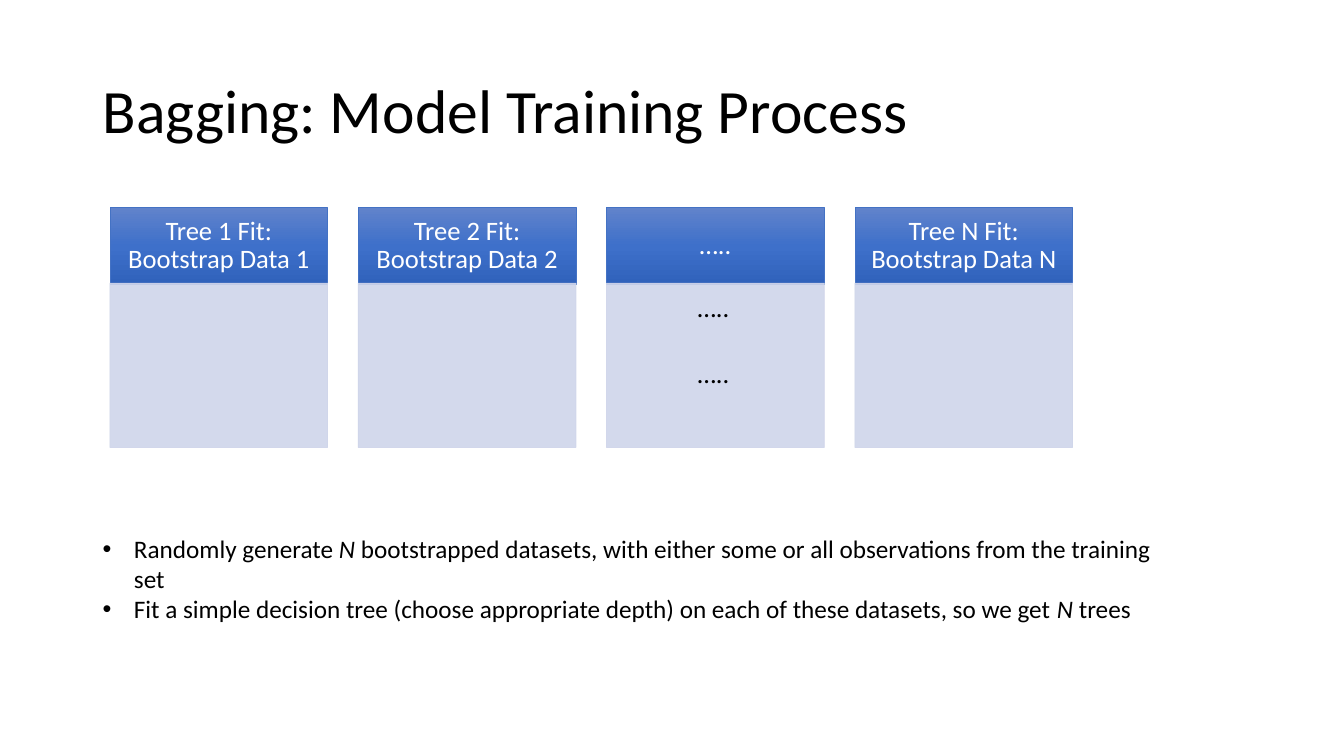
from copy import deepcopy
from dataclasses import dataclass

from lxml.etree import SubElement
from pptx import Presentation
from pptx.dml.color import RGBColor
from pptx.enum.shapes import MSO_SHAPE
from pptx.enum.text import MSO_ANCHOR, PP_ALIGN
from pptx.oxml.ns import qn
from pptx.util import Inches, Pt

BLACK = RGBColor(0x00, 0x00, 0x00)
WHITE = RGBColor(0xFF, 0xFF, 0xFF)
HEADER_LINE = RGBColor(0x44, 0x72, 0xC4)
BODY_FILL = RGBColor(0xCF, 0xD5, 0xEA)
HEADER_GRADIENT = (
    RGBColor(0x61, 0x83, 0xCB),
    RGBColor(0x3E, 0x70, 0xCA),
    RGBColor(0x30, 0x62, 0xBB),
)
FONT = "Calibri"
DOTS = "….."
COLUMN_LEFT, COLUMN_PITCH, COLUMN_WIDTH = 1.09, 2.463, 2.16
HEADER_TOP, HEADER_HEIGHT, BODY_TOP, BODY_HEIGHT = 2.06, 0.76, 2.81, 1.63


@dataclass(frozen=True)
class Tree:
    """One tree column with its heading and body lines."""
    heading: str
    lines: tuple[str, ...] = ()


@dataclass(frozen=True)
class Span:
    """A stretch of text, upright or italic."""
    text: str
    italic: bool = False


TREES = (
    Tree("Tree 1 Fit: Bootstrap Data 1"),
    Tree("Tree 2 Fit: Bootstrap Data 2"),
    Tree(DOTS, (DOTS, DOTS)),
    Tree("Tree N Fit: Bootstrap Data N"),
)
STEPS = (
    (
        Span("Randomly generate "),
        Span("N", True),
        Span(" bootstrapped datasets, with either some or all observations from the training set"),
    ),
    (
        Span("Fit a simple decision tree (choose appropriate depth) on each of these datasets, so we get "),
        Span("N ", True),
        Span("trees"),
    ),
)


def write(shape, paragraphs, *, size, color=BLACK, align=PP_ALIGN.LEFT, anchor=MSO_ANCHOR.TOP,
          insets=(0.1, 0.05, 0.1, 0.05), line_spacing=1.0, gap=0, bullet=False) -> None:
    """Fill a shape with paragraphs, each a sequence of spans."""
    frame = shape.text_frame
    frame.word_wrap = True
    frame.vertical_anchor = anchor
    frame.margin_left, frame.margin_top, frame.margin_right, frame.margin_bottom = map(Inches, insets)
    for index, spans in enumerate(paragraphs):
        para = frame.add_paragraph() if index else frame.paragraphs[0]
        para.alignment = align
        para.line_spacing = line_spacing
        para.space_before = Pt(gap if index else 0)
        if bullet:
            add_bullet(para)
        for span in spans:
            run = para.add_run()
            run.text = span.text
            run.font.name = FONT
            run.font.size = Pt(size)
            run.font.italic = span.italic
            run.font.color.rgb = color


def add_bullet(para) -> None:
    """Give a paragraph a round bullet and a hanging indent."""
    properties = para._p.get_or_add_pPr()
    properties.set("marL", str(Inches(0.31)))
    properties.set("indent", str(-Inches(0.31)))
    SubElement(properties, qn("a:buFont"), typeface="Arial")
    SubElement(properties, qn("a:buChar"), char="•")


def add_text(page, left: float, top: float, width: float, height: float, paragraphs, **style) -> None:
    """Add a text box with formatted paragraphs."""
    box = page.shapes.add_textbox(Inches(left), Inches(top), Inches(width), Inches(height))
    write(box, paragraphs, **style)


def add_panel(page, left: float, top: float, height: float, line: RGBColor):
    """Add a column-wide rectangle with a thin outline."""
    panel = page.shapes.add_shape(
        MSO_SHAPE.RECTANGLE, Inches(left), Inches(top), Inches(COLUMN_WIDTH), Inches(height))
    panel.shadow.inherit = False
    panel.line.color.rgb = line
    panel.line.width = Pt(0.5)
    return panel


def fill_gradient(shape, colors) -> None:
    """Fill a shape from top to bottom with evenly spaced colours."""
    shape.fill.gradient()
    shape.fill.gradient_angle = 270
    stop_list = shape.element.spPr.find(".//" + qn("a:gsLst"))
    while len(stop_list) < len(colors):
        stop_list.append(deepcopy(stop_list[0]))
    for index, (stop, color) in enumerate(zip(shape.fill.gradient_stops, colors)):
        stop.position = index / (len(colors) - 1)
        stop.color.rgb = color


def add_tree(page, left: float, tree: Tree) -> None:
    """Add the heading and body of one tree column."""
    header = add_panel(page, left, HEADER_TOP, HEADER_HEIGHT, HEADER_LINE)
    fill_gradient(header, HEADER_GRADIENT)
    write(header, [[Span(tree.heading)]], size=19, color=WHITE, align=PP_ALIGN.CENTER,
          anchor=MSO_ANCHOR.MIDDLE, insets=(0.15, 0.08, 0.15, 0.08), line_spacing=0.9)
    body = add_panel(page, left, BODY_TOP, BODY_HEIGHT, BODY_FILL)
    body.fill.solid()
    body.fill.fore_color.rgb = BODY_FILL
    for color in body.element.spPr.iter(qn("a:srgbClr")):
        SubElement(color, qn("a:alpha"), val="90000")
    write(body, [[Span(line)] for line in tree.lines], size=19, align=PP_ALIGN.CENTER,
          insets=(0.11, 0.11, 0.15, 0.17), line_spacing=0.9, gap=27)


def main() -> None:
    """Build the bagging slide and save it."""
    deck = Presentation()
    deck.slide_width, deck.slide_height = Inches(13.33), Inches(7.5)
    page = deck.slides.add_slide(deck.slide_layouts[6])
    add_text(page, 0.92, 0.4, 11.5, 1.45, [[Span("Bagging: Model Training Process")]],
             size=44, anchor=MSO_ANCHOR.MIDDLE, line_spacing=0.9)
    for index, tree in enumerate(TREES):
        add_tree(page, COLUMN_LEFT + index * COLUMN_PITCH, tree)
    add_text(page, 0.92, 5.24, 10.81, 1.01, STEPS, size=18, bullet=True)
    deck.save("out.pptx")


main()
